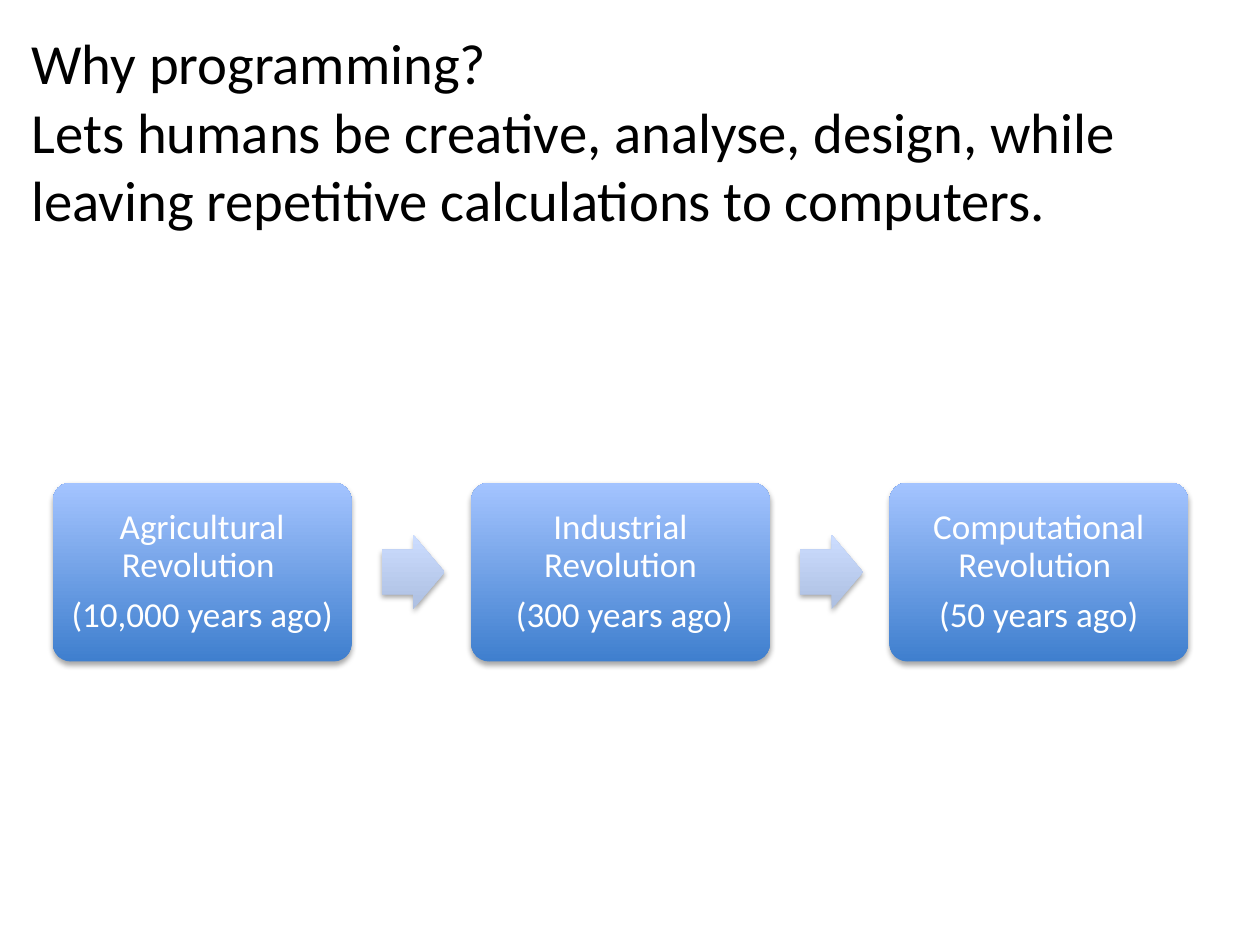
from dataclasses import dataclass

from lxml.etree import SubElement
from pptx import Presentation
from pptx.dml.color import RGBColor
from pptx.enum.shapes import MSO_SHAPE as Preset
from pptx.enum.text import MSO_ANCHOR as Anchor, MSO_AUTO_SIZE as AutoSize, PP_ALIGN as Align
from pptx.oxml.ns import qn
from pptx.shapes.autoshape import Shape
from pptx.slide import Slide
from pptx.util import Inches, Pt

BLACK = RGBColor(0x00, 0x00, 0x00)
WHITE = RGBColor(0xFF, 0xFF, 0xFF)
BOX_COLORS = (RGBColor(0x3F, 0x7F, 0xCE), RGBColor(0xA4, 0xC4, 0xFF))
ARROW_COLORS = (RGBColor(0xAD, 0xBF, 0xE1), RGBColor(0xCC, 0xDD, 0xFF))

FIRST_LEFT, COLUMN_PITCH, ROW_MIDDLE = 0.42, 3.32, 4.54
ARROW_OFFSET = 2.61  # from the left of a box to the arrow after it


@dataclass(frozen=True)
class Style:
    preset: Preset
    width: float
    height: float
    adjustments: tuple[float, ...]
    colors: tuple[RGBColor, RGBColor]


@dataclass(frozen=True)
class Revolution:
    name: str
    age: str


BOX = Style(Preset.ROUNDED_RECTANGLE, 2.37, 1.42, (0.1,), BOX_COLORS)
ARROW = Style(Preset.RIGHT_ARROW, 0.5, 0.59, (0.6, 0.5), ARROW_COLORS)

REVOLUTIONS = (
    Revolution("Agricultural Revolution ", "(10,000 years ago)"),
    Revolution("Industrial Revolution", " (300 years ago)"),
    Revolution("Computational Revolution ", "(50 years ago)"),
)


def apply(target: object, formats: dict[str, object]) -> None:
    for name, value in formats.items():
        setattr(target, name, value)


def add_soft_shadow(shape: Shape) -> None:
    shape.shadow.inherit = False
    effects = shape.element.spPr.find(qn("a:effectLst"))
    shadow = SubElement(effects, qn("a:outerShdw"), blurRad=str(Pt(3.1)),
                        dist=str(Pt(1.8)), dir="5400000", rotWithShape="0")
    color = SubElement(shadow, qn("a:srgbClr"), val="000000")
    SubElement(color, qn("a:alpha"), val="35000")


def add_step(page: Slide, style: Style, left: float) -> Shape:
    """Draw a shaded shape centred on the row of the process."""
    top = ROW_MIDDLE - style.height / 2
    shape = page.shapes.add_shape(
        style.preset, *map(Inches, (left, top, style.width, style.height)))
    for index, value in enumerate(style.adjustments):
        shape.adjustments[index] = value
    shape.fill.gradient()
    shape.fill.gradient_angle = 90
    for stop, color in zip(shape.fill.gradient_stops, style.colors):
        stop.color.rgb = color
    shape.line.fill.background()
    add_soft_shadow(shape)
    return shape


def write_revolution(box: Shape, revolution: Revolution) -> None:
    frame = box.text_frame
    margins = dict.fromkeys(
        ("margin_left", "margin_top", "margin_right", "margin_bottom"), Inches(0.08))
    apply(frame, {"word_wrap": True, "vertical_anchor": Anchor.MIDDLE, **margins})
    frame.text = f"{revolution.name}\n{revolution.age}"
    for para in frame.paragraphs:
        apply(para, {"alignment": Align.CENTER, "line_spacing": 0.9, "space_after": Pt(7)})
        apply(para.font, {"size": Pt(20), "name": "Calibri"})
        para.runs[0].font.color.rgb = WHITE


def write_title(page: Slide) -> None:
    title = page.shapes.title
    apply(title, {"left": Inches(0.15), "top": Inches(0.03),
                  "width": Inches(9), "height": Inches(2.01)})
    frame = title.text_frame
    frame.text = ("Why programming? \vLets humans be creative, analyse, design, "
                  "while leaving repetitive calculations to computers.")
    apply(frame, {"auto_size": AutoSize.NONE, "word_wrap": True,
                  "vertical_anchor": Anchor.MIDDLE})
    para = frame.paragraphs[0]
    para.alignment = Align.LEFT
    for span in para.runs:
        apply(span.font, {"size": Pt(32.4), "name": "Calibri"})
        span.font.color.rgb = BLACK


def main() -> None:
    deck = Presentation()
    apply(deck, {"slide_width": Inches(10), "slide_height": Inches(7.5)})
    page = deck.slides.add_slide(deck.slide_layouts.get_by_name("Title Only"))
    write_title(page)
    for column, revolution in enumerate(REVOLUTIONS):
        left = FIRST_LEFT + column * COLUMN_PITCH
        write_revolution(add_step(page, BOX, left), revolution)
        if column < len(REVOLUTIONS) - 1:
            add_step(page, ARROW, left + ARROW_OFFSET)
    deck.save("out.pptx")


if __name__ == "__main__":
    main()
